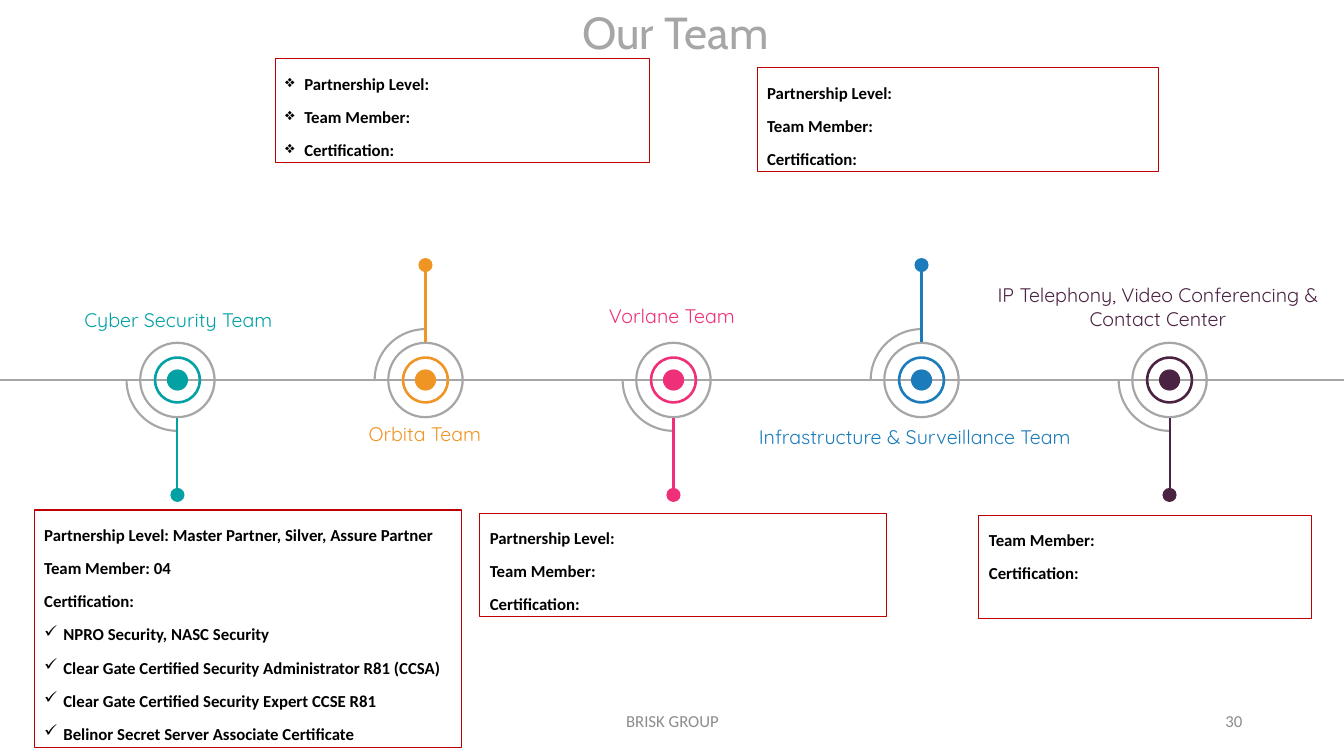
from dataclasses import dataclass

from lxml import etree
from pptx import Presentation
from pptx.dml.color import RGBColor
from pptx.enum.shapes import MSO_CONNECTOR, MSO_SHAPE
from pptx.enum.text import MSO_ANCHOR, MSO_AUTO_SIZE, PP_ALIGN
from pptx.oxml.ns import qn
from pptx.util import Inches, Length, Pt

ARC, DONUT, OVAL, RECT = (MSO_SHAPE.ARC, MSO_SHAPE.DONUT,
                          MSO_SHAPE.OVAL, MSO_SHAPE.RECTANGLE)
LINE = MSO_CONNECTOR.STRAIGHT
LEFT, MID, RIGHT, JUST = (PP_ALIGN.LEFT, PP_ALIGN.CENTER,
                          PP_ALIGN.RIGHT, PP_ALIGN.JUSTIFY)
TOP, HALF = MSO_ANCHOR.TOP, MSO_ANCHOR.MIDDLE
GROW, FIXED = MSO_AUTO_SIZE.SHAPE_TO_FIT_TEXT, MSO_AUTO_SIZE.NONE


@dataclass(frozen=True)
class Theme:
    grey: str = "A6A6A6"
    foot: str = "8C8C8C"
    ink: str = "000000"
    edge: str = "C00000"
    head_font: str = "Cabin"
    team_font: str = "Quicksand"
    body_font: str = "Calibri"
    head: int = 32
    team: int = 14
    body: int = 12
    rule: float = 1.5
    thin: float = 0.75


@dataclass(frozen=True)
class Area:
    """Left, top, width and height in grid cells."""
    x: float
    y: float
    w: float
    h: float


@dataclass(frozen=True)
class Team:
    name: str
    color: str
    up: bool
    label: Area
    box: Area
    facts: tuple[str, ...]
    align: PP_ALIGN = LEFT
    mark: str = ""
    marked: int = 0  # index of the first fact with a bullet


THEME = Theme()
COLS, ROWS = 133.3, 75  # square grid, ten cells to the inch
FIRST, STEP, AXIS = 17.6, 24.6, 37.7  # hub columns and the axis row
CORE, RING, RIM, ORBIT = 2.1, 4.7, 7.6, 10.1  # hub diameters
STEM, TIP, DOT = 11, 11.4, 1.4
FACTS = ("Partnership Level:", "Team Member:", "Certification:")

TEAMS = (
    Team("Cyber Security Team", "03A1A4", False,
         Area(1.8, 30.1, 31.8, 3.4), Area(3.4, 50.6, 42.4, 23.6),
         ("Partnership Level: Master Partner, Silver, Assure Partner",
          "Team Member: 04",
          "Certification:",
          "NPRO Security, NASC Security",
          "Clear Gate Certified Security Administrator R81 (CCSA)",
          "Clear Gate Certified Security Expert CCSE R81",
          "Belinor Secret Server Associate Certificate"),
         mark="✓", marked=3),
    Team("Orbita Team", "EE9524", True,
         Area(26.5, 41.4, 31.3, 3.4), Area(27.3, 5.8, 37.1, 10.3),
         FACTS, align=JUST, mark="❖"),
    Team("Vorlane Team", "EF3078", False,
         Area(49.3, 29.7, 34.7, 3.4), Area(47.6, 50.9, 40.3, 10.3), FACTS),
    Team("Infrastructure & Surveillance Team", "1C7CBB", True,
         Area(67.1, 41.7, 47.3, 3.6), Area(75.1, 6.7, 39.8, 10.3), FACTS),
    Team("IP Telephony, Video Conferencing & Contact Center", "4A2242", False,
         Area(97.4, 27.6, 34.9, 5.7), Area(97.1, 51.1, 33, 10.3),
         FACTS[1:], align=JUST),
)


def cell(n: float) -> Length:
    return Inches(n / 10)


def rgb(code: str) -> RGBColor:
    return RGBColor.from_string(code)


def place(area: Area) -> tuple[Length, ...]:
    return cell(area.x), cell(area.y), cell(area.w), cell(area.h)


def draw_line(shapes, x1: float, y1: float, x2: float, y2: float, color: str):
    line = shapes.add_connector(LINE, cell(x1), cell(y1), cell(x2), cell(y2))
    line.line.color.rgb = rgb(color)
    line.line.width = Pt(THEME.rule)
    props = line._element.find(qn("p:spPr"))
    etree.SubElement(props, qn("a:effectLst"))


def draw_shape(shapes, kind: MSO_SHAPE, area: Area, *, fill: str = "",
               edge: str = "", width: float = THEME.rule,
               adjust: tuple[float, ...] = ()):
    shape = shapes.add_shape(kind, *place(area))
    shape.shadow.inherit = False
    for i, value in enumerate(adjust):
        shape.adjustments[i] = value
    if fill:
        shape.fill.solid()
        shape.fill.fore_color.rgb = rgb(fill)
    else:
        shape.fill.background()
    if edge:
        shape.line.color.rgb = rgb(edge)
        shape.line.width = Pt(width)
    else:
        shape.line.fill.background()
    return shape


def draw_round(shapes, kind: MSO_SHAPE, x: float, y: float, size: float,
               **style):
    area = Area(x - size / 2, y - size / 2, size, size)
    return draw_shape(shapes, kind, area, **style)


def add_mark(para, mark: str):
    props = para._p.get_or_add_pPr()
    props.set("marL", str(Inches(0.19)))
    props.set("indent", str(-Inches(0.19)))
    etree.SubElement(props, qn("a:buChar")).set("char", mark)


def write(shape, *lines: str, font: str, size: float, color: str,
          bold: bool = False, align: PP_ALIGN = MID, anchor: MSO_ANCHOR = TOP,
          fit: MSO_AUTO_SIZE = GROW, lead: float = 0, after: float = 0,
          mark: str = "", marked: int = 0):
    frame = shape.text_frame
    frame.word_wrap = True
    frame.auto_size = fit
    frame.vertical_anchor = anchor
    for i, line in enumerate(lines):
        para = frame.paragraphs[0] if i == 0 else frame.add_paragraph()
        para.alignment = align
        if lead:
            para.line_spacing = lead
            para.space_after = Pt(after)
        if mark and i >= marked:
            add_mark(para, mark)
        run = para.add_run()
        run.text = line
        run.font.name, run.font.size, run.font.bold = font, Pt(size), bold
        run.font.color.rgb = rgb(color)


def draw_hub(shapes, team: Team, x: float):
    way = -1 if team.up else 1
    arc = draw_round(shapes, ARC, x, AXIS, ORBIT, edge=THEME.grey,
                     adjust=(54.2, 108.53))
    arc.rotation = 90 if team.up else 0
    draw_round(shapes, OVAL, x, AXIS, CORE, fill=team.color)
    draw_round(shapes, DONUT, x, AXIS, RING, fill=team.color, adjust=(0.053,))
    draw_round(shapes, DONUT, x, AXIS, RIM, fill=THEME.grey, adjust=(0.029,))
    draw_line(shapes, x, AXIS + way * RIM / 2, x, AXIS + way * STEM, team.color)
    draw_round(shapes, OVAL, x, AXIS + way * TIP, DOT, fill=team.color)


def main():
    deck = Presentation()
    deck.slide_width, deck.slide_height = cell(COLS), cell(ROWS)
    shapes = deck.slides.add_slide(deck.slide_layouts[6]).shapes

    # Axis, one stretch between neighbouring hubs
    hubs = [FIRST + STEP * i for i in range(len(TEAMS))]
    for start, end in zip([0, *hubs], [*hubs, COLS]):
        draw_line(shapes, start, AXIS, end, AXIS, THEME.grey)

    # Teams: hub, name and fact box
    for team, x in zip(TEAMS, hubs):
        draw_hub(shapes, team, x)
        write(shapes.add_textbox(*place(team.label)), team.name,
              font=THEME.team_font, size=THEME.team, color=team.color)
        box = draw_shape(shapes, RECT, team.box, edge=THEME.edge,
                         width=THEME.thin)
        write(box, *team.facts, font=THEME.body_font, size=THEME.body,
              color=THEME.ink, bold=True, align=team.align, lead=1.5, after=2,
              mark=team.mark, marked=team.marked)

    # Title and footer
    write(shapes.add_textbox(*place(Area(6, 0, 122, 6.4))), "Our Team",
          font=THEME.head_font, size=THEME.head, color=THEME.grey)
    for text, area, align in (("BRISK GROUP", Area(44.2, 69.5, 45, 4), MID),
                              ("30", Area(94.2, 69.5, 30, 4), RIGHT)):
        write(shapes.add_textbox(*place(area)), text, font=THEME.body_font,
              size=THEME.body, color=THEME.foot, align=align, anchor=HALF,
              fit=FIXED)

    deck.save("out.pptx")


if __name__ == "__main__":
    main()
